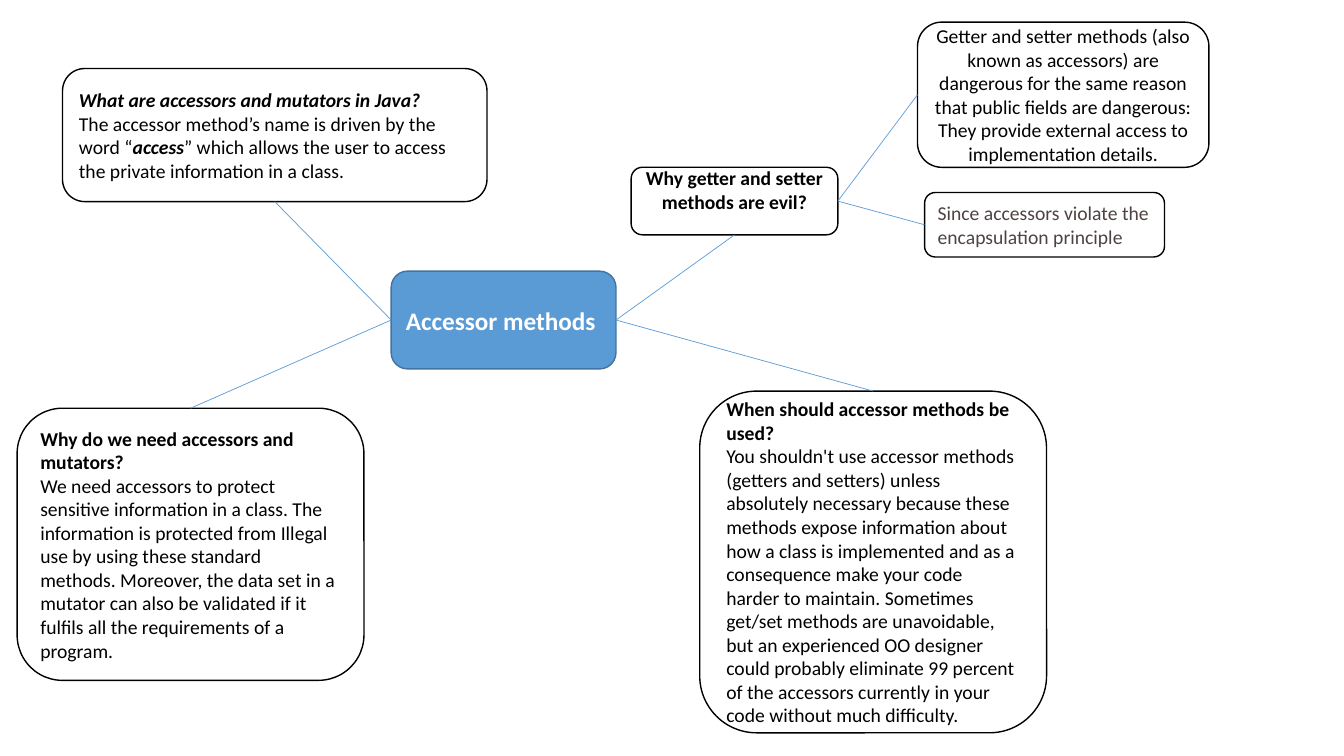
from lxml import etree
from pptx import Presentation
from pptx.dml.color import RGBColor
from pptx.enum.shapes import MSO_CONNECTOR, MSO_SHAPE
from pptx.enum.text import MSO_ANCHOR, PP_ALIGN
from pptx.oxml.ns import qn
from pptx.util import Inches, Pt

ROUNDED = MSO_SHAPE.ROUNDED_RECTANGLE
STRAIGHT = MSO_CONNECTOR.STRAIGHT
MIDDLE = MSO_ANCHOR.MIDDLE
LEFT, CENTER = PP_ALIGN.LEFT, PP_ALIGN.CENTER
TOP_SIDE, LEFT_SIDE, BOTTOM_SIDE, RIGHT_SIDE = range(4)

WHITE = RGBColor(0xFF, 0xFF, 0xFF)
BLACK = RGBColor(0x00, 0x00, 0x00)
BLUE = RGBColor(0x5B, 0x9B, 0xD5)
DARK_BLUE = RGBColor(0x43, 0x73, 0x9E)
BROWN_GRAY = RGBColor(0x4E, 0x42, 0x42)

PLAIN, BOLD, BOLD_ITALIC = (False, False), (True, False), (True, True)


class MindMap:
    font = "Calibri"

    def __init__(self, page):
        self.page = page

    def node(self, place, paragraphs, fill=WHITE, outline=BLACK, color=BLACK,
             size=14, align=LEFT):
        box = self.page.shapes.add_shape(ROUNDED, *map(Inches, place))
        box.shadow.inherit = False
        box.fill.solid()
        box.fill.fore_color.rgb = fill
        box.line.color.rgb = outline
        box.line.width = Pt(1)
        frame = box.text_frame
        frame.word_wrap = True
        frame.vertical_anchor = MIDDLE
        for index, spans in enumerate(paragraphs):
            para = frame.add_paragraph() if index else frame.paragraphs[0]
            para.alignment = align
            for text, (bold, italic) in spans:
                span = para.add_run()
                span.text = text
                span.font.name = self.font
                span.font.size = Pt(size)
                span.font.bold = bold
                span.font.italic = italic
                span.font.color.rgb = color
        return box

    def link(self, start, start_side, end, end_side):
        line = self.page.shapes.add_connector(STRAIGHT, 0, 0, 0, 0)
        line.begin_connect(start, start_side)
        line.end_connect(end, end_side)
        line.line.color.rgb = BLUE
        line.line.width = Pt(0.5)
        etree.SubElement(line._element.spPr, qn("a:effectLst"))


def main():
    deck = Presentation()
    deck.slide_width, deck.slide_height = Inches(13.33), Inches(7.5)
    mind_map = MindMap(deck.slides.add_slide(deck.slide_layouts[6]))

    topic = mind_map.node(
        (3.88, 2.69, 2.23, 0.97), [[("Accessor methods", BOLD)]],
        fill=BLUE, outline=DARK_BLUE, color=WHITE, size=18)
    need = mind_map.node((0.17, 4.05, 3.44, 2.7), [
        [("Why do we need accessors and mutators?", BOLD)],
        [("We need accessors to protect sensitive information in a class. "
          "The information is protected from Illegal use by using these "
          "standard methods. Moreover, the data set in a mutator can also be "
          "validated if it fulfils all the requirements of a program.", PLAIN)],
    ])
    definition = mind_map.node((0.62, 0.68, 4.21, 1.32), [
        [("What are accessors and mutators in Java?", BOLD_ITALIC)],
        [("The accessor method’s name is driven by the word “", PLAIN),
         ("access", BOLD_ITALIC),
         ("” which allows the user to access the private information in a "
          "class.", PLAIN)],
    ])
    evil = mind_map.node(
        (6.26, 1.66, 2.05, 0.67),
        [[("Why getter and setter methods are evil?", BOLD)]], align=CENTER)
    evil.text_frame.margin_bottom = Inches(0.27)
    danger = mind_map.node((9.1, 0.22, 2.89, 1.44), [
        [("Getter and setter methods (also known as accessors) are dangerous "
          "for the same reason that public fields are dangerous: They provide "
          "external access to implementation details.", PLAIN)],
    ], align=CENTER)
    usage = mind_map.node((6.94, 3.88, 3.44, 3.39), [
        [("When should accessor methods be used?", BOLD)],
        [("You shouldn't use accessor methods (getters and setters) unless "
          "absolutely necessary because these methods expose information "
          "about how a class is implemented and as a consequence make your "
          "code harder to maintain. Sometimes get/set methods are "
          "unavoidable, but an experienced OO designer could probably "
          "eliminate 99 percent of the accessors currently in your code "
          "without much difficulty.", PLAIN)],
    ])
    violation = mind_map.node(
        (9.17, 1.91, 2.38, 0.64),
        [[("Since accessors violate the encapsulation principle", PLAIN)]],
        color=BROWN_GRAY)

    for start, start_side, end, end_side in (
        (evil, RIGHT_SIDE, violation, LEFT_SIDE),
        (evil, RIGHT_SIDE, danger, LEFT_SIDE),
        (topic, RIGHT_SIDE, usage, TOP_SIDE),
        (topic, LEFT_SIDE, need, TOP_SIDE),
        (topic, RIGHT_SIDE, evil, BOTTOM_SIDE),
        (topic, LEFT_SIDE, definition, BOTTOM_SIDE),
    ):
        mind_map.link(start, start_side, end, end_side)

    deck.save("out.pptx")


if __name__ == "__main__":
    main()
